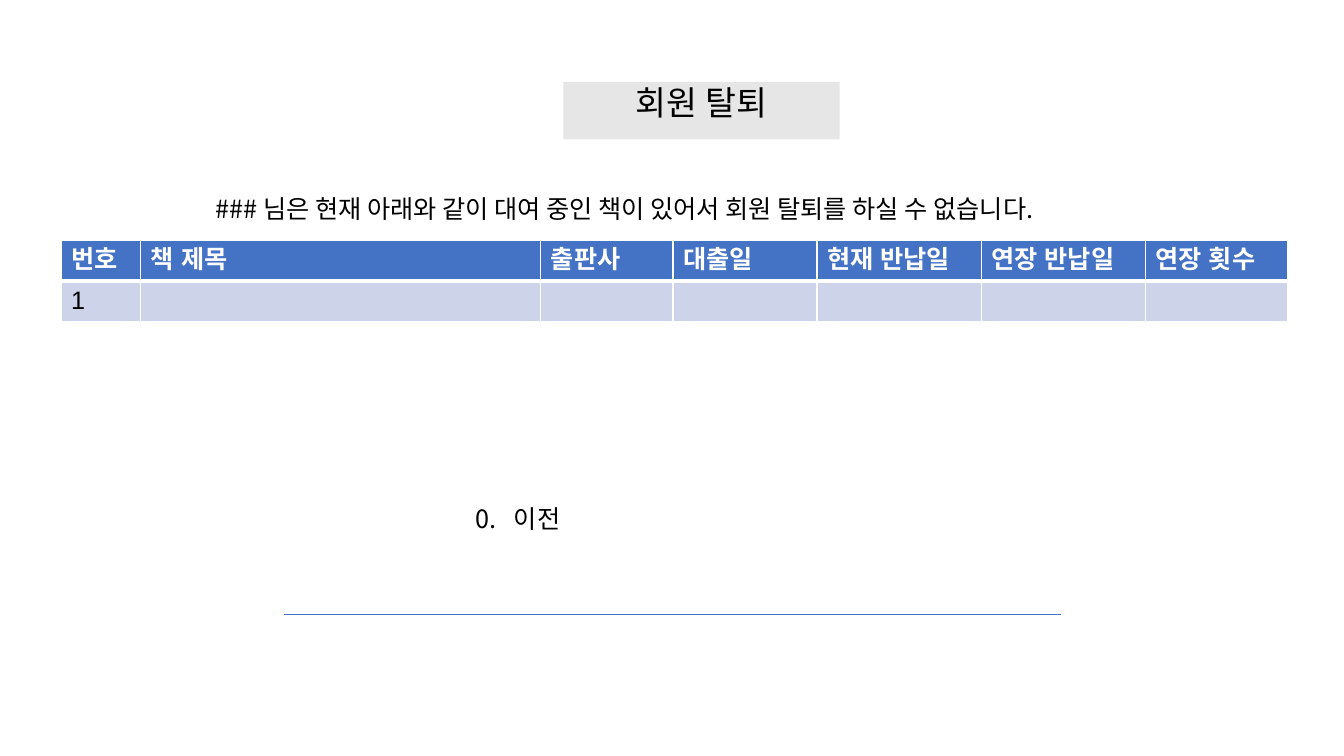
from dataclasses import dataclass
from lxml.etree import SubElement
from pptx import Presentation
from pptx.dml.color import RGBColor as Rgb
from pptx.enum.shapes import MSO_CONNECTOR as Link
from pptx.enum.text import MSO_ANCHOR as Anchor, MSO_AUTO_SIZE as Fit, PP_ALIGN as Align
from pptx.oxml import parse_xml as to_xml
from pptx.oxml.ns import nsdecls, qn
from pptx.util import Cm, Pt


@dataclass(frozen=True)
class Theme:
    ink: str = "000000"
    white: str = "FFFFFF"
    blue: str = "4472C4"
    pale: str = "CDD4EA"
    gray: str = "E7E6E6"
    font: str = "Noto Sans CJK KR"
    grid: str = "Arial"
    head: int = 24
    body: int = 18


@dataclass(frozen=True)
class Note:
    text: str
    left: float
    top: float
    width: float
    tab: float = 0


@dataclass(frozen=True)
class Field:
    name: str
    width: float
    value: str = ""


THEME = Theme()
NOTES = (
    Note("0.\t이전", 11.73, 12.55, 9.42, 0.97),
    Note("### 님은 현재 아래와 같이 대여 중인 책이 있어서 회원 탈퇴를 하실 수 없습니다.",
         5.18, 4.75, 24.16),
)
FIELDS = (
    Field("번호", 2.01, "1"),
    Field("책 제목", 10.08),
    Field("출판사", 3.33),
    Field("대출일", 3.63),
    Field("현재 반납일", 4.14),
    Field("연장 반납일", 4.14),
    Field("연장 횟수", 3.58),
)
ROW = 1.01


def write(frame, text: str, *, size: int = THEME.body, font: str = THEME.font,
          color: str = THEME.ink, bold: bool = False, align=Align.LEFT):
    para = frame.paragraphs[0]
    para.alignment = align
    run = para.add_run()
    run.text = text
    run.font.size = Pt(size)
    run.font.bold = bold
    run.font.color.rgb = Rgb.from_string(color)
    run.font.name = font
    SubElement(run.font._element, qn("a:ea"), typeface=font)
    return para


def add_title(slide) -> None:
    title = slide.shapes.title
    title.left, title.top, title.width, title.height = Cm(14.2), Cm(2.06), Cm(6.96), Cm(1.45)
    title.fill.solid()
    title.fill.fore_color.rgb = Rgb.from_string(THEME.gray)
    frame = title.text_frame
    frame.auto_size = Fit.NONE
    frame.vertical_anchor = Anchor.TOP
    para = write(frame, "회원 탈퇴", size=THEME.head, align=Align.CENTER)
    para.line_spacing = 0.9


def add_note(slide, note: Note) -> None:
    box = slide.shapes.add_textbox(Cm(note.left), Cm(note.top), Cm(note.width), Cm(1.02))
    frame = box.text_frame
    frame.word_wrap = True
    frame.auto_size = Fit.SHAPE_TO_FIT_TEXT
    para = write(frame, note.text)
    if note.tab:
        stops = SubElement(para._p.get_or_add_pPr(), qn("a:tabLst"))
        SubElement(stops, qn("a:tab"), pos=str(Cm(note.tab)), algn="l")


def add_rule(slide) -> None:
    rule = slide.shapes.add_connector(Link.STRAIGHT, Cm(7.16), Cm(15.49), Cm(26.75), Cm(15.49))
    rule.line.color.rgb = Rgb.from_string(THEME.blue)
    rule.line.width = Pt(0.75)
    SubElement(rule._element.spPr, qn("a:effectLst"))


def edge(cell, **widths: float) -> None:
    props = cell._tc.get_or_add_tcPr()
    for spot, (side, width) in enumerate(widths.items()):
        props.insert(spot, to_xml(
            f'<a:ln{side} {nsdecls("a")} w="{Pt(width)}"><a:solidFill>'
            f'<a:srgbClr val="{THEME.white}"/></a:solidFill></a:ln{side}>'))


def paint(cell, text: str, head: bool) -> None:
    cell.fill.solid()
    cell.fill.fore_color.rgb = Rgb.from_string(THEME.blue if head else THEME.pale)
    edge(cell, L=1, R=1, T=1 if head else 3, B=3 if head else 1)
    write(cell.text_frame, text, font=THEME.grid, bold=head,
          color=THEME.white if head else THEME.ink)


def add_loans(slide) -> None:
    width = sum(field.width for field in FIELDS)
    table = slide.shapes.add_table(
        2, len(FIELDS), Cm(1.54), Cm(6.07), Cm(width), Cm(2 * ROW)).table
    for row in table.rows:
        row.height = Cm(ROW)
    for col, field in enumerate(FIELDS):
        table.columns[col].width = Cm(field.width)
        paint(table.cell(0, col), field.name, True)
        paint(table.cell(1, col), field.value, False)


def main() -> None:
    deck = Presentation()
    deck.slide_width, deck.slide_height = Cm(33.87), Cm(19.05)
    slide = deck.slides.add_slide(deck.slide_layouts.get_by_name("Title Only"))
    add_title(slide)
    for note in NOTES:
        add_note(slide, note)
    add_rule(slide)
    add_loans(slide)
    deck.save("out.pptx")


if __name__ == "__main__":
    main()
